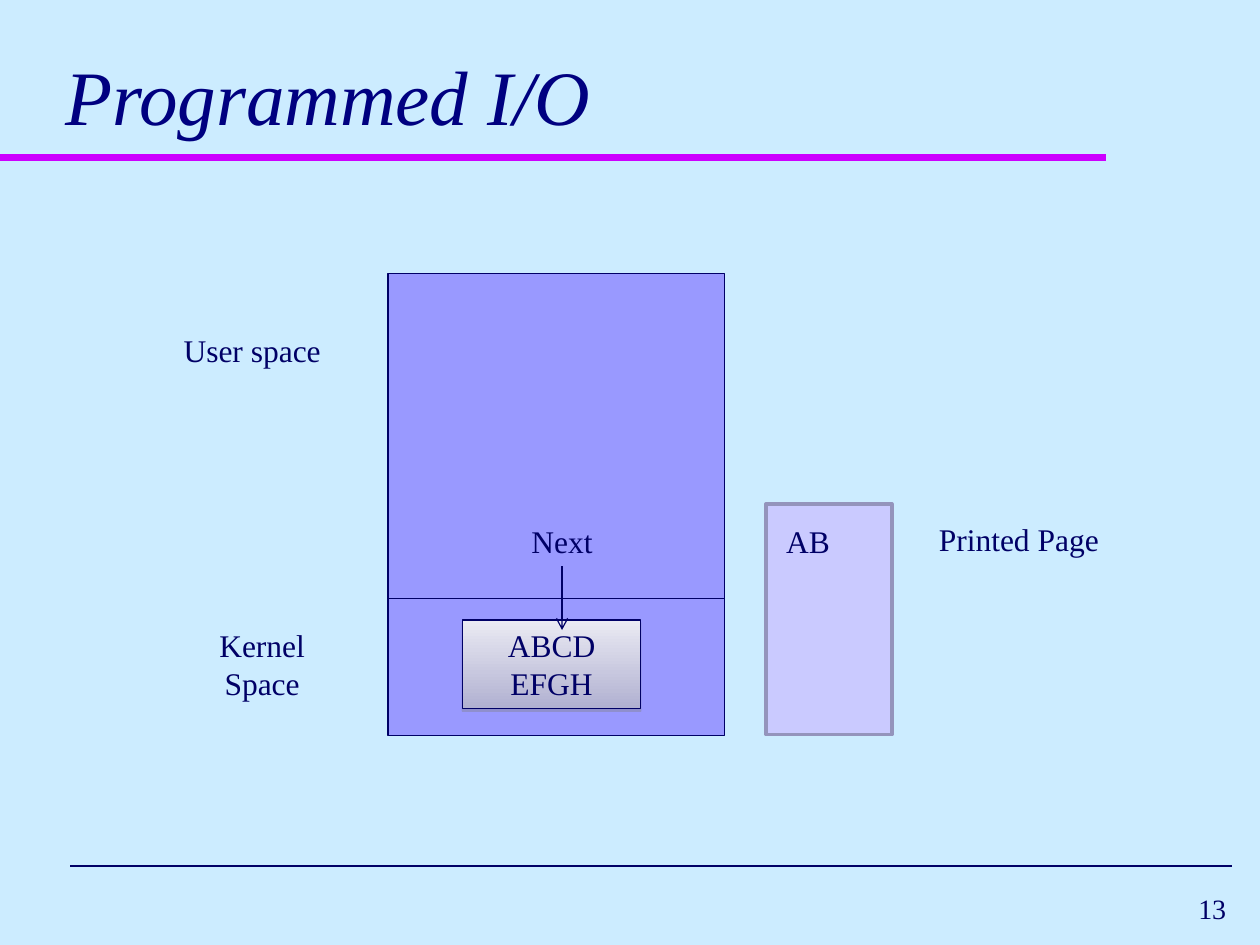
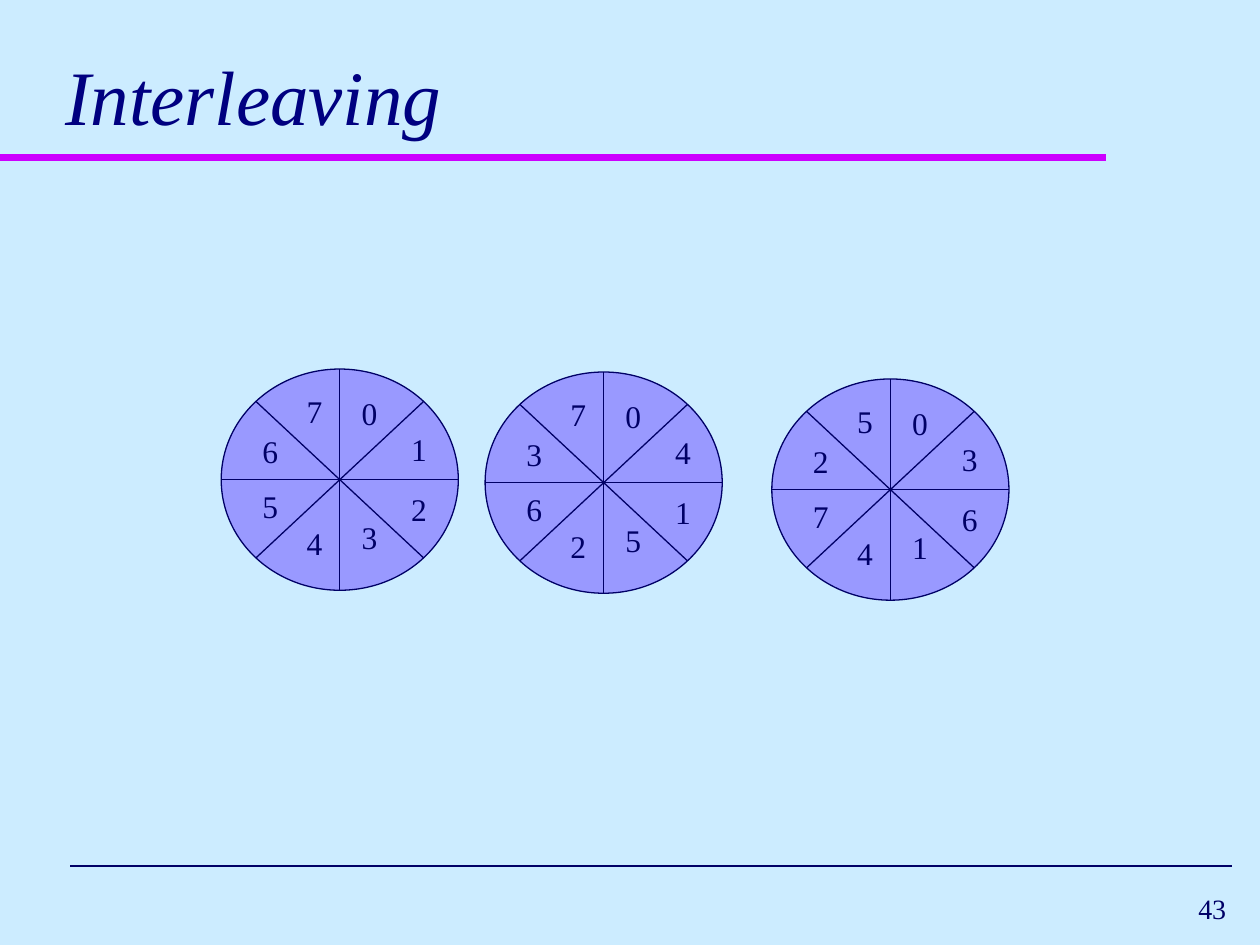
"""Build two operating-system lecture slides: programmed I/O and disk interleaving."""
from math import pi, cos, sin

from lxml.etree import SubElement
from pptx import Presentation
from pptx.dml.color import RGBColor
from pptx.enum.shapes import MSO_CONNECTOR as Connector, MSO_SHAPE as Shape
from pptx.enum.text import MSO_ANCHOR as Anchor, MSO_AUTO_SIZE as AutoSize, PP_ALIGN as Align
from pptx.oxml.ns import qn
from pptx.util import Cm, Pt

FONT = "Times New Roman"
BACKGROUND, INK, TITLE_INK, ACCENT = "CCECFF", "000066", "000080", "CC00FF"
BLOCK, PAGE, PAGE_EDGE = "9999FF", "CACAFF", "9494BC"
BUFFER_TOP, BUFFER_BOTTOM, SHADOW = "EAEAF3", "B1B1D1", "808080"

DISK_WIDTH, DISK_HEIGHT = 4.78, 4.46
DISKS = [
    (4.46, 7.44, "01234567"),
    (9.78, 7.5, "04152637"),
    (15.56, 7.64, "03614725"),
]
SECTOR_LABELS = [(2.58, 0.38), (3.58, 1.1), (3.58, 2.31), (2.58, 2.87),
                 (1.47, 3), (0.58, 2.26), (0.58, 1.14), (1.47, 0.33)]


def color(value):
    return RGBColor.from_string(value)


class Deck:
    def __init__(self):
        self.presentation = Presentation()
        self.presentation.slide_width = Cm(25.4)
        self.presentation.slide_height = Cm(19.05)
        self.layout = self.presentation.slide_layouts.get_by_name("Title Only")
        fill = self.presentation.slide_master.background.fill
        fill.solid()
        fill.fore_color.rgb = color(BACKGROUND)
        self.slide = None

    def new_slide(self, title, number):
        first = self.slide is None
        self.slide = self.presentation.slides.add_slide(self.layout)
        if first:
            self.add_layout_rules()
        shape = self.slide.shapes.title
        shape.left, shape.top, shape.width, shape.height = Cm(1.06), Cm(0.42), Cm(23.5), Cm(2.54)
        self.set_text(shape.text_frame, [title], 44, TITLE_INK, Align.LEFT, Anchor.BOTTOM, italic=True)
        self.text(str(number), 19.69, 17.78, 5.28, 1.06, 16, Align.RIGHT, Anchor.MIDDLE)

    def add_layout_rules(self):
        for rule in (self.line(0, 3.18, 22.3, 3.18, ACCENT, 4),
                     self.line(1.42, 17.46, 24.84, 17.46, INK, 1)):
            self.layout.shapes.element.append(rule.element)

    def set_text(self, frame, lines, size=18, ink=INK, align=Align.CENTER, anchor=Anchor.TOP, italic=False):
        frame.word_wrap = True
        frame.auto_size = AutoSize.NONE
        frame.vertical_anchor = anchor
        frame.text = "\n".join(lines)
        for paragraph in frame.paragraphs:
            paragraph.alignment = align
            for run in paragraph.runs:
                font = run.font
                font.name, font.size, font.italic = FONT, Pt(size), italic
                font.color.rgb = color(ink)

    def text(self, content, left, top, width, height=1.02, size=18, align=Align.CENTER, anchor=Anchor.TOP):
        box = self.slide.shapes.add_textbox(Cm(left), Cm(top), Cm(width), Cm(height))
        self.set_text(box.text_frame, [content], size, INK, align, anchor)
        return box

    def shape(self, kind, left, top, width, height, fill=BLOCK, edge=INK, weight=0.75):
        shape = self.slide.shapes.add_shape(kind, Cm(left), Cm(top), Cm(width), Cm(height))
        shape.shadow.inherit = False
        shape.fill.solid()
        shape.fill.fore_color.rgb = color(fill)
        shape.line.color.rgb = color(edge)
        shape.line.width = Pt(weight)
        return shape

    def buffer(self, lines, left, top, width, height):
        shape = self.shape(Shape.RECTANGLE, left, top, width, height)
        shape.fill.gradient()
        shape.fill.gradient_angle = 270
        for stop, value, position in zip(shape.fill.gradient_stops, (BUFFER_TOP, BUFFER_BOTTOM), (0, 1)):
            stop.color.rgb = color(value)
            stop.position = position
        effects = shape.element.spPr.find(qn("a:effectLst"))
        shadow = SubElement(effects, qn("a:outerShdw"), dist="20000", dir="5400000", rotWithShape="0")
        tint = SubElement(shadow, qn("a:srgbClr"), val=SHADOW)
        SubElement(tint, qn("a:alpha"), val="38000")
        self.set_text(shape.text_frame, lines)

    def line(self, x1, y1, x2, y2, ink=INK, weight=0.75):
        line = self.slide.shapes.add_connector(Connector.STRAIGHT, Cm(x1), Cm(y1), Cm(x2), Cm(y2))
        line.line.color.rgb = color(ink)
        line.line.width = Pt(weight)
        SubElement(line.element.spPr, qn("a:effectLst"))
        return line

    def arrow(self, x1, y1, x2, y2):
        arrow = self.line(x1, y1, x2, y2)
        SubElement(arrow.element.spPr.find(qn("a:ln")), qn("a:tailEnd"), type="arrow")
        return arrow

    def disk(self, left, top, sectors):
        self.shape(Shape.OVAL, left, top, DISK_WIDTH, DISK_HEIGHT)
        center_x, center_y = left + DISK_WIDTH / 2, top + DISK_HEIGHT / 2
        for step in range(4):
            dx = DISK_WIDTH / 2 * cos(step * pi / 4)
            dy = DISK_HEIGHT / 2 * sin(step * pi / 4)
            self.line(center_x - dx, center_y - dy, center_x + dx, center_y + dy)
        for sector, (x, y) in zip(sectors, SECTOR_LABELS):
            self.text(sector, left + x, top + y, 0.64)


def programmed_io(deck):
    deck.new_slide("Programmed I/O", 13)
    deck.shape(Shape.RECTANGLE, 7.82, 5.51, 6.78, 9.32)
    deck.line(7.82, 12.07, 14.6, 12.07)
    deck.buffer(["ABCD", "EFGH"], 9.32, 12.5, 3.6, 1.78)
    deck.text("User space", 3.18, 6.55, 3.81)
    deck.text("Kernel Space", 3.38, 12.5, 3.81, 1.78)
    deck.shape(Shape.RECTANGLE, 15.44, 10.16, 2.54, 4.65, PAGE, PAGE_EDGE, 2)
    deck.text("Printed Page", 18.42, 10.36, 4.24)
    next_label = deck.text("Next", 9.96, 10.39, 2.74)
    deck.arrow(11.33, 11.41, 11.33, 12.7).begin_connect(next_label, 2)
    deck.text("AB", 15.44, 10.39, 1.7)


def interleaving(deck):
    deck.new_slide("Interleaving", 43)
    for left, top, sectors in DISKS:
        deck.disk(left, top, sectors)


def main():
    deck = Deck()
    programmed_io(deck)
    interleaving(deck)
    deck.presentation.save("out.pptx")


if __name__ == "__main__":
    main()
